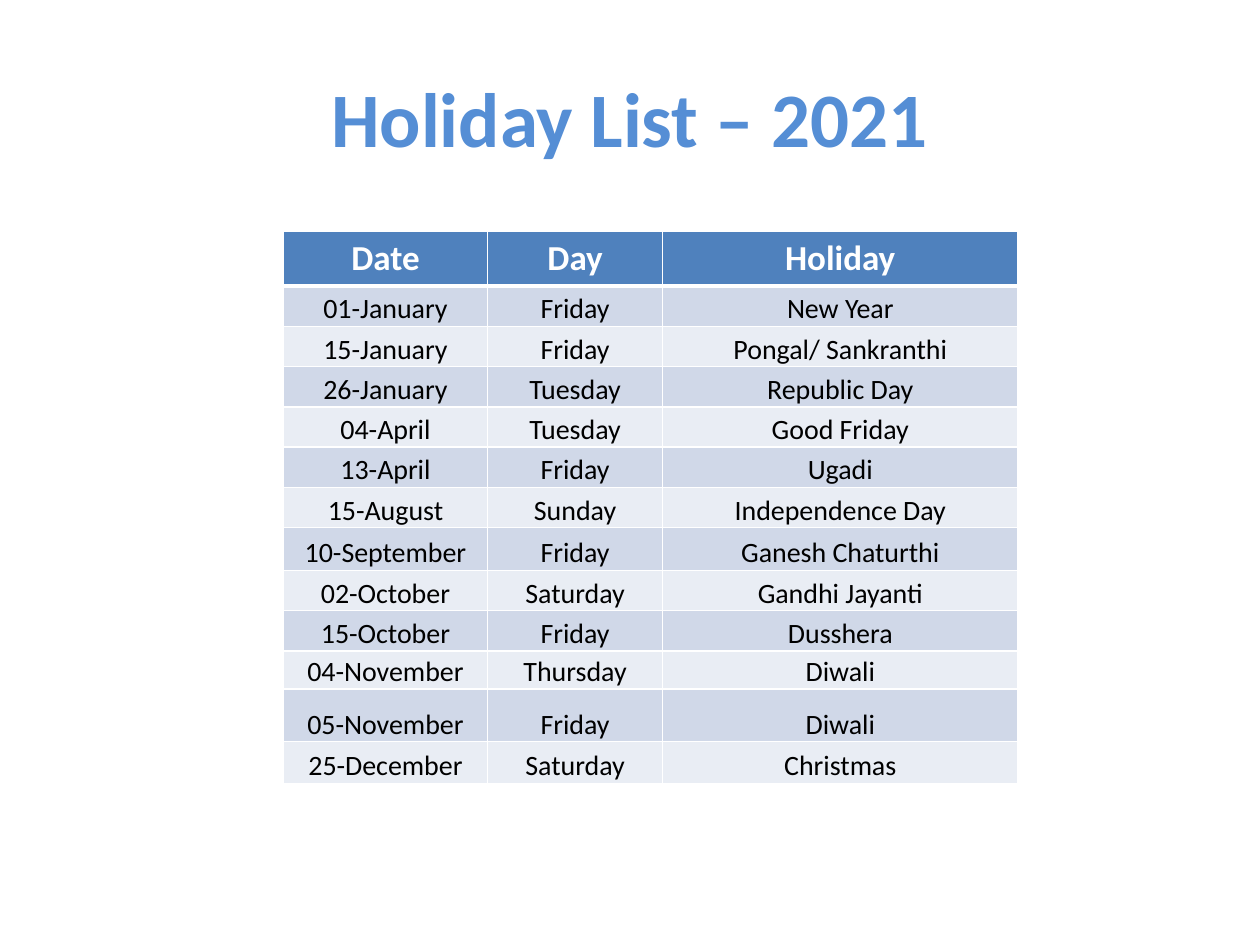
"""Build the Holiday List slide."""
import dataclasses

import lxml.etree
import pptx
import pptx.dml.color
import pptx.enum.text
import pptx.oxml.ns
import pptx.util


@dataclasses.dataclass(frozen=True)
class Theme:
    """Colours, font, type sizes and line widths of the slide."""
    font: str = "Calibri"
    title: str = "558ED5"
    header: str = "4F81BD"
    bands: tuple = ("D0D8E8", "E9EDF4")
    light: str = "FFFFFF"
    dark: str = "000000"
    title_size: int = 44
    header_size: int = 20
    body_size: int = 16
    thin: int = 1
    thick: int = 3


class SlideBuilder:
    """Draw styled elements on a slide divided into 40 columns and 30 rows."""

    def __init__(self, prs, theme):
        """Add a blank slide and measure its grid."""
        self.theme = theme
        self.slide = prs.slides.add_slide(prs.slide_layouts[6])
        self.col = prs.slide_width / 40
        self.row = prs.slide_height / 30

    def box(self, left, top, width, height):
        """Turn grid units into slide lengths."""
        return (round(left * self.col), round(top * self.row),
                round(width * self.col), round(height * self.row))

    def set_text(self, tf, text, size, color, bold):
        """Put one centred, styled line in a text frame."""
        tf.text = text
        p = tf.paragraphs[0]
        p.alignment = pptx.enum.text.PP_ALIGN.CENTER
        font = p.runs[0].font
        font.name, font.size, font.bold = self.theme.font, pptx.util.Pt(size), bold
        font.color.rgb = pptx.dml.color.RGBColor.from_string(color)

    def title(self, text, left, top, width, height):
        """Add the slide heading."""
        tf = self.slide.shapes.add_textbox(*self.box(left, top, width, height)).text_frame
        tf.word_wrap = True
        tf.vertical_anchor = pptx.enum.text.MSO_ANCHOR.MIDDLE
        self.set_text(tf, text, self.theme.title_size, self.theme.title, True)

    def borders(self, cell, top, bottom):
        """Draw the four edges of a cell."""
        thin = self.theme.thin
        tc_pr = cell._tc.get_or_add_tcPr()
        edges = {"lnL": thin, "lnR": thin, "lnT": top, "lnB": bottom}
        for i, (edge, width) in enumerate(edges.items()):
            ln = lxml.etree.Element(pptx.oxml.ns.qn(f"a:{edge}"), w=str(pptx.util.Pt(width)))
            fill = lxml.etree.SubElement(ln, pptx.oxml.ns.qn("a:solidFill"))
            lxml.etree.SubElement(fill, pptx.oxml.ns.qn("a:srgbClr"), val=self.theme.light)
            tc_pr.insert(i, ln)

    def cell(self, cell, text, i):
        """Style a cell according to its row number."""
        t = self.theme
        cell.fill.solid()
        fill = t.bands[(i - 1) % 2] if i else t.header
        cell.fill.fore_color.rgb = pptx.dml.color.RGBColor.from_string(fill)
        if i:
            cell.vertical_anchor = pptx.enum.text.MSO_ANCHOR.BOTTOM
            cell.margin_left = cell.margin_right = cell.margin_top = pptx.util.Inches(0.01)
            cell.margin_bottom = 0
            self.set_text(cell.text_frame, text, t.body_size, t.dark, False)
        else:
            self.set_text(cell.text_frame, text, t.header_size, t.light, True)
        self.borders(cell, t.thick if i == 1 else t.thin, t.thin if i else t.thick)

    def table(self, rows, left, top, widths, heights):
        """Add a banded table with a header row."""
        frame = self.slide.shapes.add_table(
            len(rows), len(widths), *self.box(left, top, sum(widths), sum(heights)))
        table = frame.table
        for column, width in zip(table.columns, widths):
            column.width = round(width * self.col)
        for i, (row, height, texts) in enumerate(zip(table.rows, heights, rows)):
            row.height = round(height * self.row)
            for cell, text in zip(row.cells, texts):
                self.cell(cell, text, i)


HOLIDAYS = [
    ("Date", "Day", "Holiday"),
    ("01-January", "Friday", "New Year"),
    ("15-January", "Friday", "Pongal/ Sankranthi"),
    ("26-January", "Tuesday", "Republic Day"),
    ("04-April", "Tuesday", "Good Friday"),
    ("13-April", "Friday", "Ugadi"),
    ("15-August", "Sunday", "Independence Day"),
    ("10-September", "Friday", "Ganesh Chaturthi"),
    ("02-October", "Saturday", "Gandhi Jayanti"),
    ("15-October", "Friday", "Dusshera"),
    ("04-November", "Thursday", "Diwali"),
    ("05-November", "Friday", "Diwali"),
    ("25-December", "Saturday", "Christmas"),
]


def main():
    """Build and save the presentation."""
    prs = pptx.Presentation()
    prs.slide_width, prs.slide_height = pptx.util.Inches(10), pptx.util.Inches(7.5)
    s = SlideBuilder(prs, Theme())
    s.title("Holiday List – 2021", 2, 1.2, 36, 5)
    heights = [1.74] + [1.28] * 6 + [1.36, 1.28, 1.28, 1.2, 1.68, 1.32]
    s.table(HOLIDAYS, 9, 7.34, [6.48, 5.56, 11.28], heights)
    prs.save("out.pptx")


if __name__ == "__main__":
    main()
